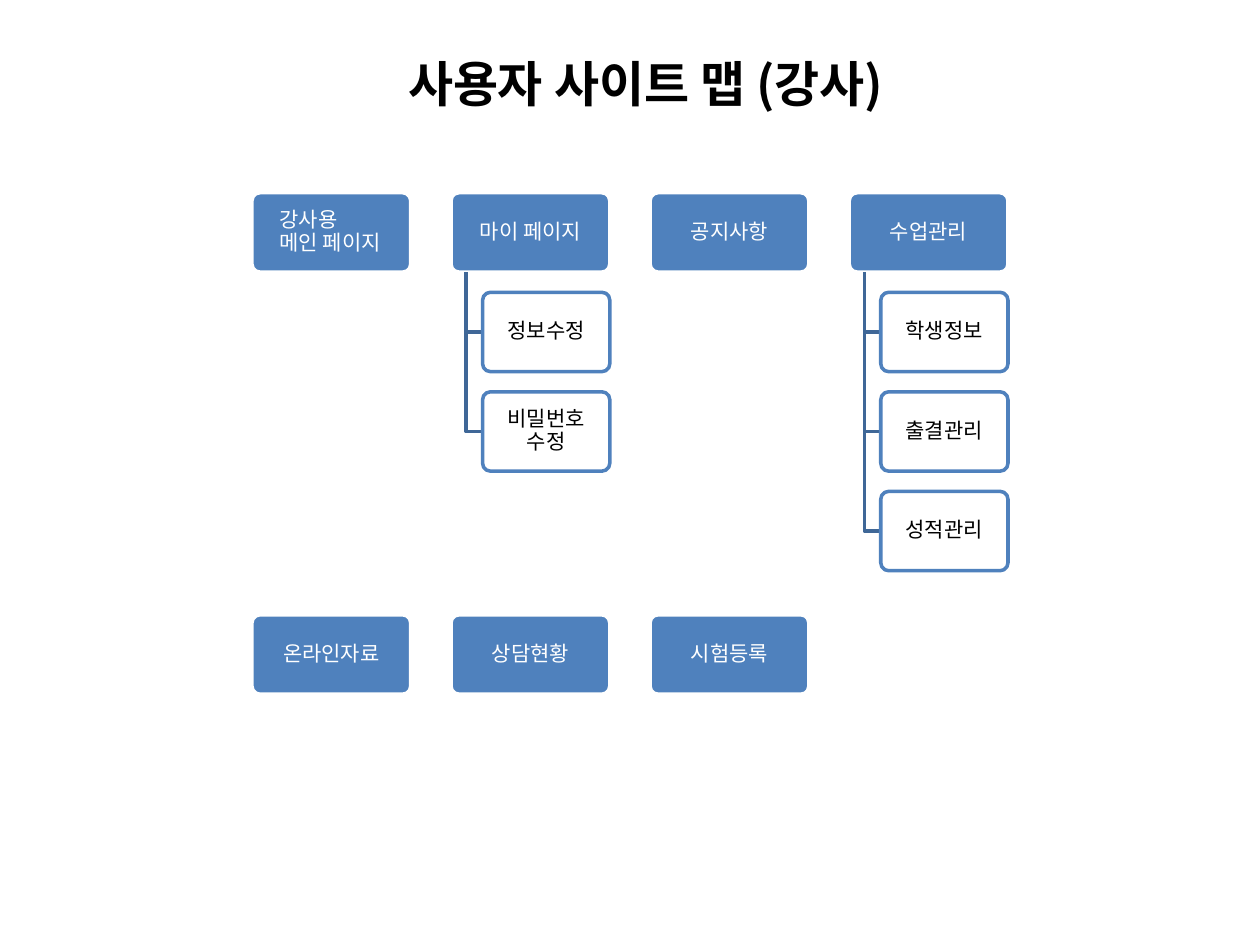
import lxml.etree
import pptx
import pptx.dml.color
import pptx.enum.shapes
import pptx.enum.text
import pptx.oxml.ns
import pptx.util

Inches = pptx.util.Inches
Pt = pptx.util.Pt
qn = pptx.oxml.ns.qn
COLORS = {name: pptx.dml.color.RGBColor.from_string(value) for name, value in {
    "blue": "4F81BD", "branch": "3F6797", "white": "FFFFFF", "black": "000000"}.items()}
FONT = "Noto Sans CJK KR"


def add_text(paragraph, text, size, color, bold=False):
    run = paragraph.add_run()
    run.text = text
    run.font.size = Pt(size)
    run.font.bold = bold
    run.font.name = FONT
    run.font.color.rgb = COLORS[color]
    properties = run.font._element
    properties.set("kern", "0")
    east_asian = lxml.etree.SubElement(properties, qn("a:ea"))
    east_asian.set("typeface", FONT)


def add_box(left, top, width, text, fill, line, color):
    shape = slide.shapes.add_shape(
        pptx.enum.shapes.MSO_SHAPE.ROUNDED_RECTANGLE,
        Inches(left), Inches(top), Inches(width), Inches(BOX_HEIGHT))
    shape.adjustments[0] = 0.1
    shape.shadow.inherit = False
    shape.fill.solid()
    shape.fill.fore_color.rgb = COLORS[fill]
    shape.line.color.rgb = COLORS[line]
    shape.line.width = Pt(2)
    frame = shape.text_frame
    frame.word_wrap = True
    frame.vertical_anchor = pptx.enum.text.MSO_ANCHOR.MIDDLE
    frame.margin_left = frame.margin_right = Inches(0.03)
    frame.margin_top = frame.margin_bottom = Inches(0.02)
    paragraph = frame.paragraphs[0]
    paragraph.alignment = pptx.enum.text.PP_ALIGN.CENTER
    paragraph.line_spacing = 0.9
    for index, text_line in enumerate(text.split("\n")):
        if index:
            paragraph.add_line_break()
        add_text(paragraph, text_line, 12, color)
    return shape


presentation = pptx.Presentation()
presentation.slide_width, presentation.slide_height = Inches(10), Inches(7.5)
slide = presentation.slides.add_slide(presentation.slide_layouts[5])

# Title
title = slide.shapes.title
title.left, title.top, title.width, title.height = map(Inches, (2.17, 0.37, 5.91, 0.57))
title.text_frame.word_wrap = True
heading = title.text_frame.paragraphs[0]
heading.alignment = pptx.enum.text.PP_ALIGN.CENTER
add_text(heading, "사용자 사이트 맵 (강사)", 28, "black", bold=True)

# Site map: rows of pages, each with its subpages
BOX_HEIGHT = 0.63
PAGE_WIDTH, SUBPAGE_WIDTH = 1.26, 1.01
FIRST_LEFT, COLUMN_STEP, SUBPAGE_STEP = 2.0, 1.58, 0.79
MAIN_PAGE = "강사용\n메인 페이지"
ROWS = [
    (1.53, [(MAIN_PAGE, []),
            ("마이 페이지", ["정보수정", "비밀번호 수정"]),
            ("공지사항", []),
            ("수업관리", ["학생정보", "출결관리", "성적관리"])]),
    (4.88, [("온라인자료", []), ("상담현황", []), ("시험등록", [])]),
]

for top, pages in ROWS:
    for column, (page, subpages) in enumerate(pages):
        left = FIRST_LEFT + column * COLUMN_STEP
        page_box = add_box(left, top, PAGE_WIDTH, page, "blue", "white", "white")
        if page == MAIN_PAGE:
            page_box.text_frame.paragraphs[0].alignment = pptx.enum.text.PP_ALIGN.LEFT
            page_box.text_frame.margin_left = Inches(0.2)

        # Branches and subpages
        trunk, subpage_left = left + 0.12, left + 0.25
        page_bottom = top + BOX_HEIGHT
        for index, subpage in enumerate(subpages):
            subpage_top = top + (index + 1) * SUBPAGE_STEP
            middle = subpage_top + BOX_HEIGHT / 2
            builder = slide.shapes.build_freeform(Inches(trunk), Inches(page_bottom))
            builder.add_line_segments(
                [(Inches(trunk), Inches(middle)), (Inches(subpage_left), Inches(middle))],
                close=False)
            branch = builder.convert_to_shape()
            branch.shadow.inherit = False
            branch.fill.background()
            branch.line.color.rgb = COLORS["branch"]
            branch.line.width = Pt(2)
            add_box(subpage_left, subpage_top, SUBPAGE_WIDTH, subpage, "white", "blue", "black")

presentation.save("out.pptx")
